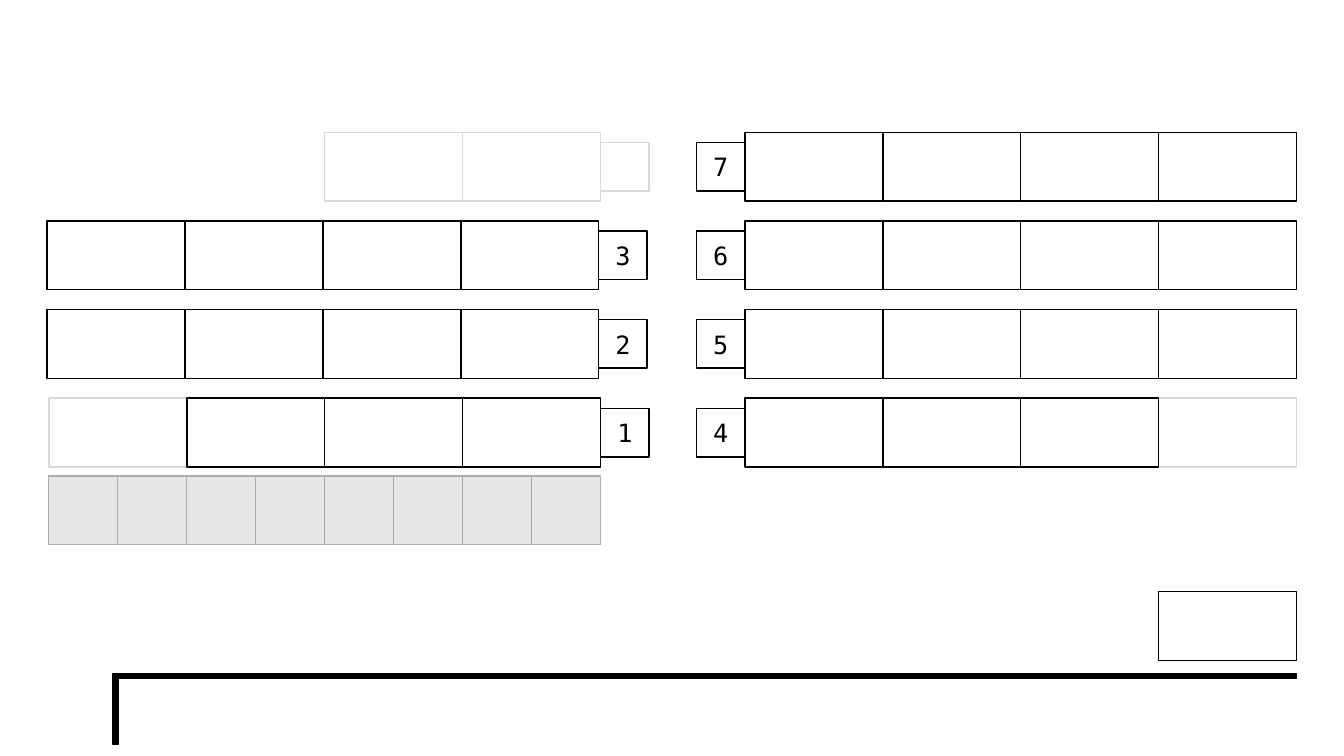
from pptx import Presentation
from pptx.dml.color import RGBColor
from pptx.enum.shapes import MSO_SHAPE
from pptx.enum.text import MSO_ANCHOR, PP_ALIGN
from pptx.util import Pt

RECTANGLE = MSO_SHAPE.RECTANGLE
MIDDLE = MSO_ANCHOR.MIDDLE
CENTER = PP_ALIGN.CENTER

BLACK, WHITE, PALE = "000000", "FFFFFF", "D9D9D9"
GREY, GREY_EDGE = "E7E6E6", "AFABAB"

DESK_W, DESK_H = 98.5, 49.2
TAG = 34.6
SEATS = 4
FIRST_ROW_TOP, ROW_STEP = 94.5, 63.3
RIGHT_DESKS = 532.1
PODIUM, PODIUM_STEP = 8, 49.25


def color(hex_code):
    return RGBColor.from_string(hex_code)


class SeatingPlan:
    font = "DejaVu Sans Mono"
    size = 18

    def __init__(self, slide):
        self.slide = slide

    def box(self, left, top, width, height, fill=WHITE, edge=BLACK, parent=None):
        shapes = (parent or self.slide).shapes
        box = shapes.add_shape(RECTANGLE, Pt(left), Pt(top), Pt(width), Pt(height))
        box.shadow.inherit = False
        box.fill.solid()
        box.fill.fore_color.rgb = color(fill)
        box.line.color.rgb = color(edge)
        box.line.width = Pt(1)
        return box

    def tag(self, left, top, number, edge, parent):
        tag = self.box(left, top, TAG, TAG, edge=edge, parent=parent)
        if not number:
            return
        frame = tag.text_frame
        frame.margin_left = frame.margin_right = 0
        frame.vertical_anchor = MIDDLE
        label = frame.paragraphs[0]
        label.text = number
        label.alignment = CENTER
        label.font.name = self.font
        label.font.size = Pt(self.size)
        label.font.color.rgb = color(BLACK)

    def desk_row(self, desks_left, tag_left, row, number, seats, pale=()):
        """Draw the listed seats and the tag; pale seats lie underneath."""
        top = FIRST_ROW_TOP + row * ROW_STEP
        group = self.slide.shapes.add_group_shape()
        for seat in sorted(seats, key=lambda s: s not in pale):
            edge = PALE if seat in pale else BLACK
            self.box(desks_left + seat * DESK_W, top, DESK_W, DESK_H,
                     edge=edge, parent=group)
        self.tag(tag_left, top + (DESK_H - TAG) / 2, number,
                 BLACK if number else PALE, group)

    def podium(self, left, top):
        group = self.slide.shapes.add_group_shape()
        for tile in range(PODIUM):
            self.box(left + tile * PODIUM_STEP, top, PODIUM_STEP, DESK_H,
                     GREY, GREY_EDGE, group)

    def wall(self, left, top, width, height):
        self.box(left, top, width, height, fill=BLACK)


def main():
    prs = Presentation()
    prs.slide_width, prs.slide_height = Pt(960), Pt(540)
    plan = SeatingPlan(prs.slides.add_slide(prs.slide_layouts[6]))

    every_seat = range(SEATS)
    left_rows = [
        (429, "", (2, 3), (2, 3)),
        (427.7, "3", every_seat, ()),
        (427.7, "2", every_seat, ()),
        (429, "1", every_seat, (0,)),
    ]
    for row, (tag_left, number, seats, pale) in enumerate(left_rows):
        plan.desk_row(tag_left - SEATS * DESK_W, tag_left, row, number, seats, pale)

    right_rows = [("7", ()), ("6", ()), ("5", ()), ("4", (3,))]
    for row, (number, pale) in enumerate(right_rows):
        plan.desk_row(RIGHT_DESKS, RIGHT_DESKS - TAG, row, number, every_seat, pale)

    plan.podium(34.8, 340)
    plan.box(RIGHT_DESKS + 3 * DESK_W, 422.6, DESK_W, DESK_H)
    plan.wall(82.8, 481, 843.2, 3.6)
    plan.wall(80.8, 481, 3.6, 51)

    prs.save("out.pptx")


if __name__ == "__main__":
    main()
